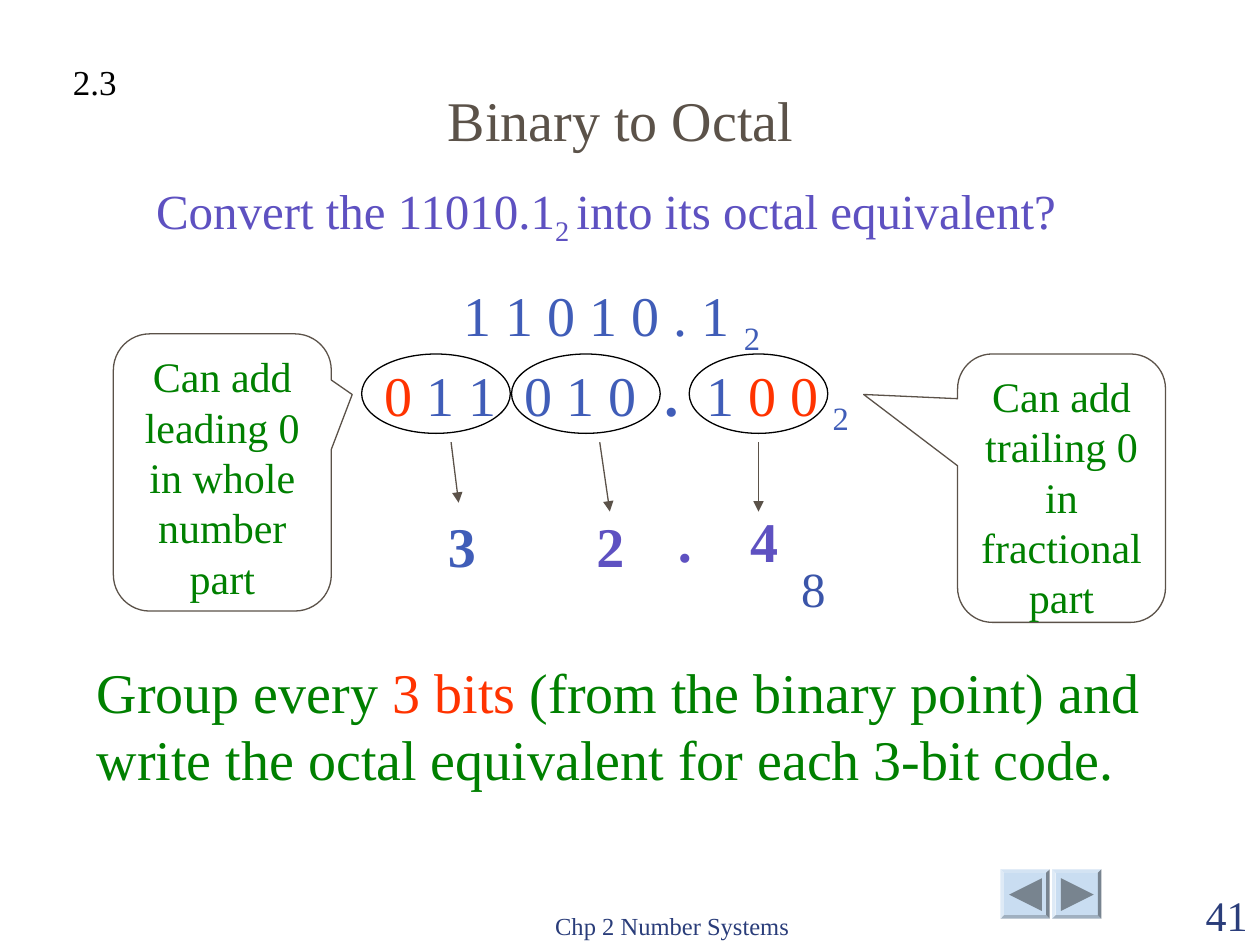
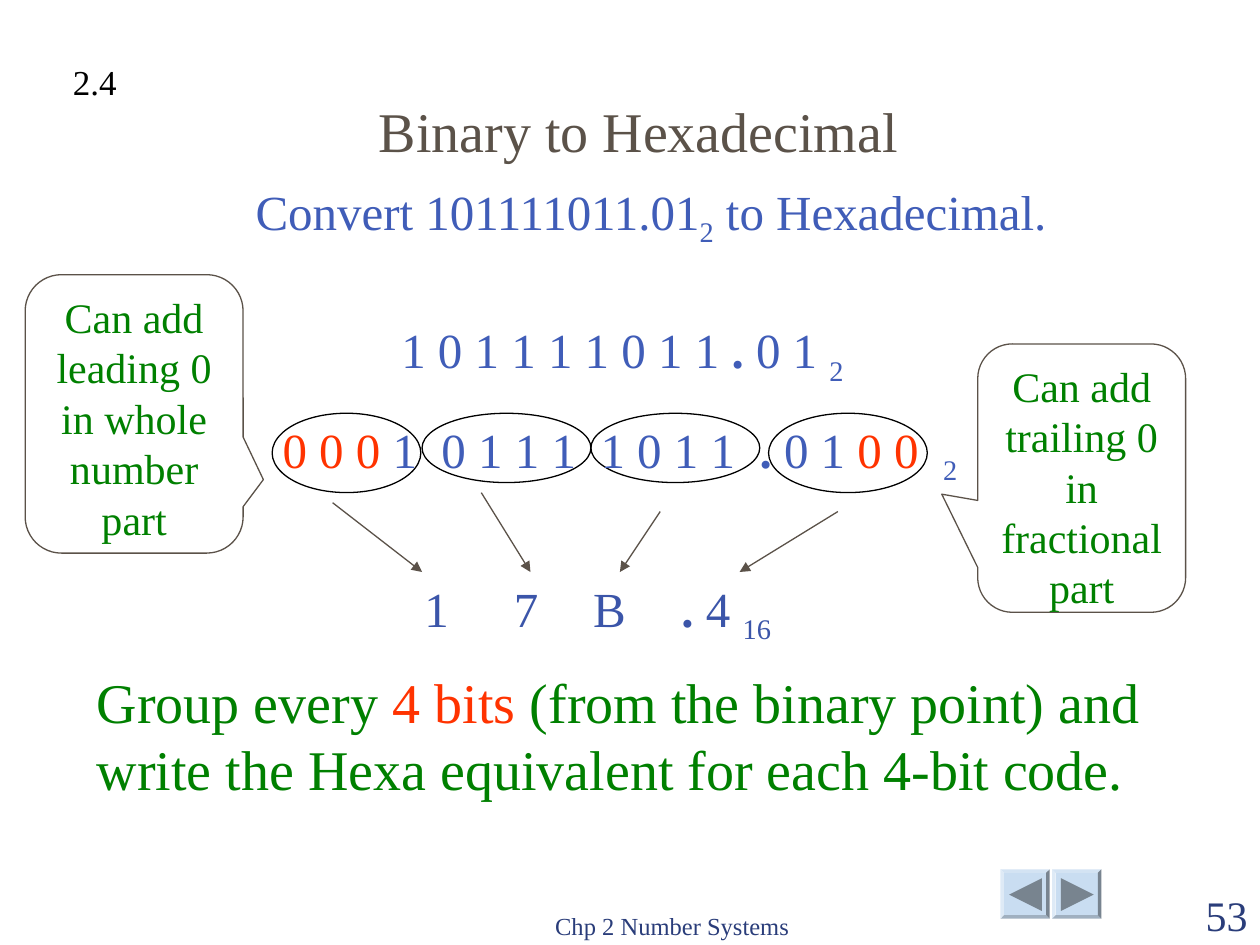
from lxml import etree
from pptx import Presentation
from pptx.dml.color import RGBColor
from pptx.enum import shapes, text
from pptx.oxml import ns
from pptx.util import Inches, Pt

FONT = "Times New Roman"
COLORS = {
    "blue": "405DB8", "violet": "5E51C1", "answer": "3B55A9", "green": "008000",
    "red": "FF3300", "brown": "5B5249", "navy": "2A3D7A", "black": "000000",
    "button": "C9DDF1", "arrow": "78848F",
}
LEFT, CENTER, RIGHT = text.PP_ALIGN.LEFT, text.PP_ALIGN.CENTER, text.PP_ALIGN.RIGHT
TOP, MIDDLE, BOTTOM = text.MSO_ANCHOR.TOP, text.MSO_ANCHOR.MIDDLE, text.MSO_ANCHOR.BOTTOM
SHAPE = shapes.MSO_SHAPE


def write(box, spans, size, align=LEFT, anchor=TOP, spacing=None):
    frame = box.text_frame
    frame.word_wrap = True
    frame.auto_size = text.MSO_AUTO_SIZE.NONE
    frame.vertical_anchor = anchor
    frame.margin_left = frame.margin_right = Inches(0.1)
    frame.margin_top = frame.margin_bottom = Inches(0.05)
    para = frame.paragraphs[0]
    para.alignment = align
    para.space_before = Pt(0)
    if spacing:
        para.line_spacing = spacing
    for words, color, *styles in spans:
        span = para.add_run()
        span.text = words
        span.font.name = FONT
        span.font.size = Pt(36 if "large" in styles else size)
        span.font.bold = "bold" in styles
        span.font.color.rgb = RGBColor.from_string(COLORS[color])
        if "sub" in styles:
            span.font._element.set("baseline", "-25000")


def add_shape(page, kind, area, fill=None, line=None):
    shape = page.shapes.add_shape(kind, *map(Inches, area))
    shape.shadow.inherit = False
    if fill:
        shape.fill.solid()
        shape.fill.fore_color.rgb = RGBColor.from_string(COLORS[fill])
    else:
        shape.fill.background()
    if line:
        shape.line.color.rgb = RGBColor.from_string(COLORS[line])
        shape.line.width = Pt(0.75)
    else:
        shape.line.fill.background()
    return shape


conversions = [
    {
        "title": [("Binary to Octal", "brown"), (" ", "blue", "bold", "large")],
        "title_at": (1.53, 0.6),
        "section": "2.3",
        "number": "41",
        "bits": "3",
        "target": "octal",
        "rule_top": 5.17,
        "ovals": [(2.87, 2.81, 1.18, 0.63), (4.06, 2.81, 1.18, 0.63), (5.47, 2.81, 1.1, 0.63)],
        "arrows": [(3.58, 3.51, 3.64, 3.99), (4.76, 3.51, 4.84, 4.06), (6.02, 3.51, 6.02, 4.06)],
        "callouts": [((0.9, 2.65, 1.73, 2.2), (0.596, -0.281)),
                     ((7.6, 2.81, 1.65, 2.13), (-0.952, -0.349))],
        "texts": [
            ((1.14, 1.39, 8.42, 0.47), 28, LEFT, TOP, 0.9,
             [("Convert the 11010.1", "violet"), ("2 ", "violet", "sub"),
              ("into its octal equivalent?", "violet")]),
            ((3.58, 2.18, 2.84, 0.71), 32, LEFT, TOP, None,
             [("1 1 0 1 0 . 1 ", "blue"), ("2", "blue", "sub")]),
            ((2.95, 2.81, 4.25, 0.71), 32, LEFT, TOP, None,
             [("0", "red"), (" 1 1  0 1 0  ", "blue"), (". ", "blue", "bold"),
              (" 1 ", "blue"), ("0 0 ", "red"), ("2", "blue", "sub")]),
            ((3.27, 3.91, 0.79, 0.83), 32, CENTER, MIDDLE, None, [("3", "blue", "bold")]),
            ((4.45, 3.91, 0.79, 0.83), 32, CENTER, MIDDLE, None, [("2", "violet", "bold")]),
            ((5.16, 3.99, 0.55, 0.6), 32, CENTER, MIDDLE, None, [(".", "violet", "bold")]),
            ((5.79, 3.99, 0.55, 0.6), 32, CENTER, MIDDLE, None, [("4", "violet", "bold")]),
            ((6.26, 4.38, 0.47, 0.57), 28, LEFT, TOP, None, [("8", "answer")]),
        ],
    },
    {
        "title": [("Binary to Hexadecimal", "brown")],
        "title_at": (1.61, 0.68),
        "section": "2.4",
        "number": "53",
        "bits": "4",
        "target": "Hexa",
        "rule_top": 5.25,
        "ovals": [(2.16, 3.28, 1.18, 0.63), (3.35, 3.28, 1.34, 0.55),
                  (4.69, 3.28, 1.34, 0.55), (6.1, 3.28, 1.26, 0.63)],
        "arrows": [(2.64, 3.99, 3.35, 4.54), (3.82, 3.91, 4.21, 4.54),
                   (5.24, 4.06, 4.92, 4.54), (6.65, 4.06, 5.87, 4.54)],
        "callouts": [((0.2, 2.18, 1.73, 2.21), (0.593, 0.236)),
                     ((7.76, 2.73, 1.65, 2.13), (-0.673, 0.06))],
        "texts": [
            ((1.93, 1.39, 6.62, 0.75), 28, LEFT, TOP, None,
             [("Convert 101111011.01", "blue"), ("2", "blue", "sub"),
              (" to Hexadecimal.", "blue")]),
            ((2.4, 2.49, 5.08, 0.63), 28, CENTER, TOP, None,
             [("1 0 1 1 1 1 0 1 1 ", "blue"), (". ", "blue", "bold"),
              ("0 1 ", "blue"), ("2", "blue", "sub")]),
            ((1.69, 3.28, 6.46, 0.63), 28, CENTER, TOP, None,
             [("0 0 0", "red"), (" 1  0 1 1 1  1 0 1 1  ", "blue"), (". ", "blue", "bold"),
              ("0 1 ", "blue"), ("0 0  ", "red"), ("2", "blue", "sub")]),
            ((3.27, 4.54, 0.39, 0.57), 28, LEFT, TOP, None, [("1", "answer")]),
            ((3.98, 4.54, 0.63, 0.57), 28, LEFT, TOP, None, [("7", "answer")]),
            ((4.61, 4.54, 0.63, 0.57), 28, LEFT, TOP, None, [("B", "answer")]),
            ((5.31, 4.54, 1.42, 0.63), 28, LEFT, TOP, None,
             [(".", "answer", "bold"), (" 4 ", "answer"), ("16", "answer", "sub")]),
        ],
    },
]
hints = ["Can add leading 0 in whole number part", "Can add trailing 0 in fractional part"]

deck = Presentation()
deck.slide_width, deck.slide_height = Inches(10), Inches(7.5)

for conversion in conversions:
    page = deck.slides.add_slide(deck.slide_layouts[5])

    for left, turn in [(7.94, -90), (8.35, 90)]:
        button = add_shape(page, SHAPE.BEVEL, (left, 6.9, 0.39, 0.39), "button")
        button.adjustments[0] = 0.07
        triangle = add_shape(page, SHAPE.ISOSCELES_TRIANGLE,
                             (left + 0.07, 6.97, 0.26, 0.26), "arrow")
        triangle.rotation = turn

    title = page.shapes.title
    title.left, title.top = map(Inches, conversion["title_at"])
    title.width, title.height = Inches(6.92), Inches(0.67)
    write(title, conversion["title"], 32, CENTER, BOTTOM)

    bits = conversion["bits"]
    rule = [("Group every ", "green"), (f"{bits} bits", "red"),
            (f" (from the binary point) and write the {conversion['target']} equivalent "
             f"for each {bits}-bit code.", "green")]
    shared_texts = [
        ((3.75, 7.01, 3.17, 0.5), 14, CENTER, BOTTOM, None, [("Chp 2 Number Systems", "navy")]),
        ((9, 7.01, 1, 0.5), 24, RIGHT, BOTTOM, None, [(conversion["number"], "navy")]),
        ((0.48, 0.43, 0.7, 0.44), 20, LEFT, TOP, None, [(conversion["section"], "black")]),
        ((0.67, conversion["rule_top"], 8.58, 1.18), 32, LEFT, TOP, None, rule),
    ]

    for area in conversion["ovals"]:
        add_shape(page, SHAPE.OVAL, area, line="black")

    for area, size, align, anchor, spacing, spans in shared_texts + conversion["texts"]:
        box = page.shapes.add_textbox(*map(Inches, area))
        write(box, spans, size, align, anchor, spacing)

    for ends in conversion["arrows"]:
        arrow = page.shapes.add_connector(shapes.MSO_CONNECTOR.STRAIGHT, *map(Inches, ends))
        arrow.line.color.rgb = RGBColor.from_string(COLORS["brown"])
        arrow.line.width = Pt(0.75)
        etree.SubElement(arrow.line._get_or_add_ln(), ns.qn("a:tailEnd"), type="triangle")
        etree.SubElement(arrow._element.spPr, ns.qn("a:effectLst"))

    for hint, (area, tip) in zip(hints, conversion["callouts"]):
        callout = add_shape(page, SHAPE.ROUNDED_RECTANGULAR_CALLOUT, area, line="brown")
        callout.adjustments[0], callout.adjustments[1] = tip
        write(callout, [(hint, "green")], 24, CENTER)

deck.save("out.pptx")
